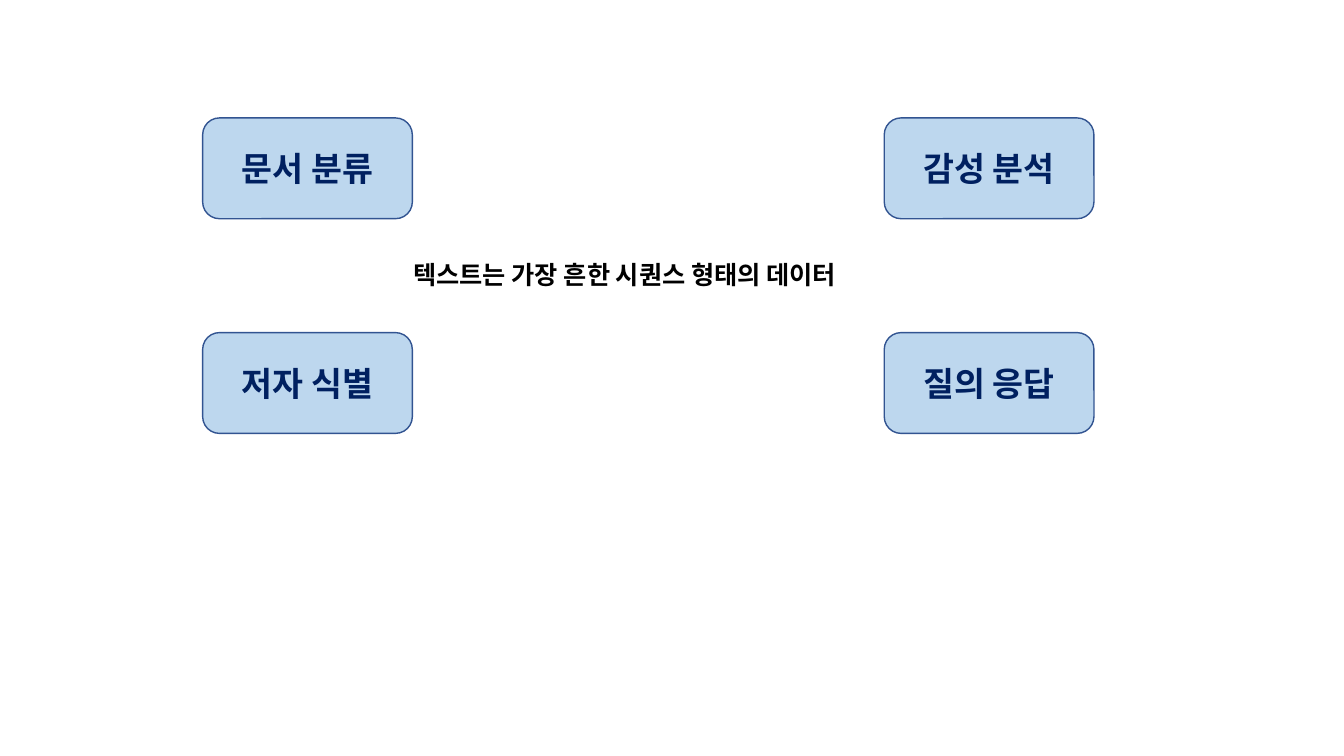
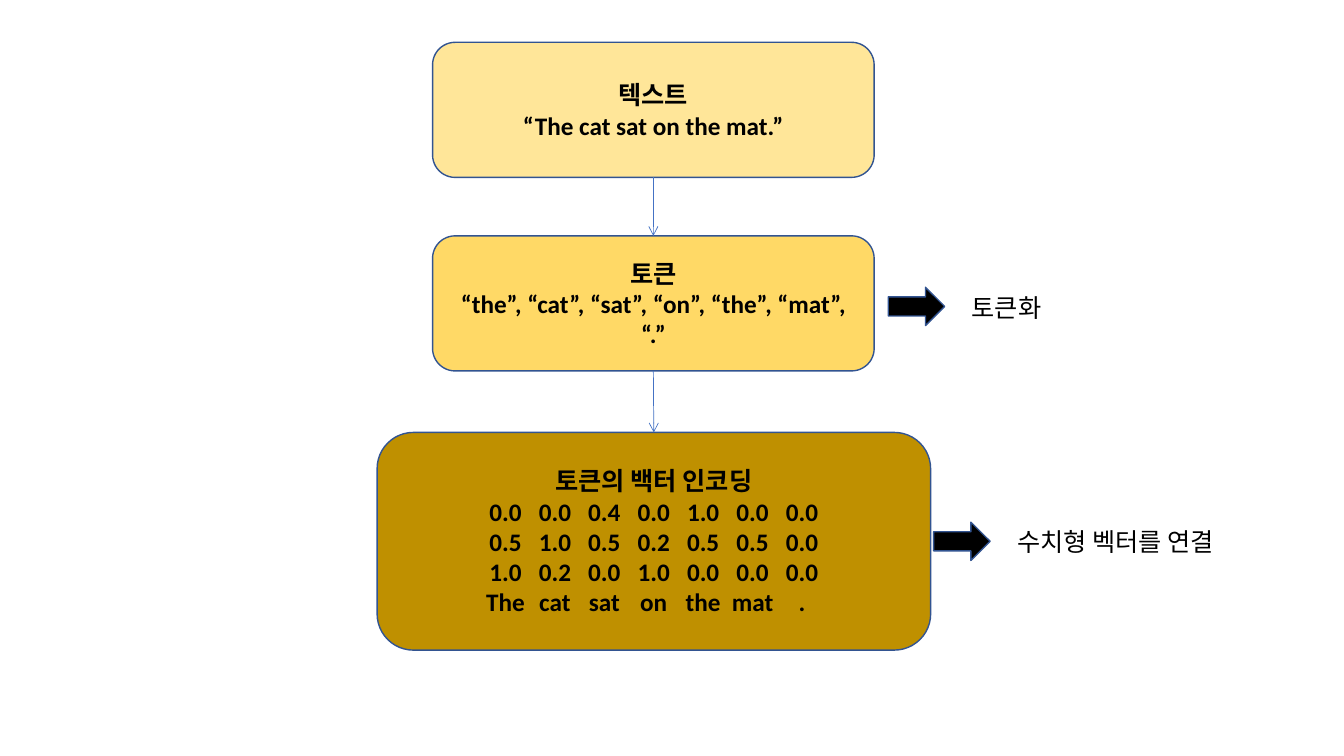
from dataclasses import dataclass
from itertools import pairwise, product

from lxml.etree import SubElement
from pptx import Presentation
from pptx.dml.color import RGBColor
from pptx.enum.shapes import MSO_CONNECTOR, MSO_SHAPE
from pptx.enum.text import MSO_ANCHOR, MSO_AUTO_SIZE, PP_ALIGN
from pptx.oxml.ns import qn
from pptx.shapes.autoshape import Shape
from pptx.slide import Slide
from pptx.text.text import TextFrame
from pptx.util import Emu, Pt

PX = 9144
FONT = "Calibri"
COLORS = {
    "task": "BDD7EE",
    "task_text": "002060",
    "outline": "325491",
    "text": "FFE699",
    "token": "FFD966",
    "vector": "BF9000",
    "flow": "4472C4",
    "black": "000000",
}
TOP_SITE, BOTTOM_SITE = 0, 2
FLOW_CENTER = 648
FIRST_COLUMN, COLUMN_STEP = 107, 49


@dataclass(frozen=True)
class Stage:
    top: int
    width: int
    height: int
    color: str
    lines: tuple[str, ...]
    rows: tuple[tuple[str, ...], ...] = ()


@dataclass(frozen=True)
class Step:
    caption: str
    arrow_left: int
    arrow_top: int
    caption_top: int
    caption_width: int


STAGES = (
    Stage(42, 438, 134, "text", ("텍스트", "“The cat sat on the mat.”")),
    Stage(234, 438, 134, "token",
          ("토큰", "“the”, “cat”, “sat”, “on”, “the”, “mat”, “.”")),
    Stage(429, 549, 216, "vector", ("토큰의 백터 인코딩",), (
        ("0.0", "0.0", "0.4", "0.0", "1.0", "0.0", "0.0"),
        ("0.5", "1.0", "0.5", "0.2", "0.5", "0.5", "0.0"),
        ("1.0", "0.2", "0.0", "1.0", "0.0", "0.0", "0.0"),
        ("The", "cat", "sat", "on", "the", "mat", "."),
    )),
)
STEPS = (
    Step("토큰화", 881, 285, 285, 96),
    Step("수치형 벡터를 연결", 926, 518, 517, 234),
)
TASKS = ("문서 분류", "감성 분석", "저자 식별", "질의 응답")


def px(length: int) -> Emu:
    return Emu(length * PX)


def rgb(name: str) -> RGBColor:
    return RGBColor.from_string(COLORS[name])


def write(frame: TextFrame, *lines: str, size: int = 18, bold: bool = False,
          color: str = "black", align: PP_ALIGN = PP_ALIGN.LEFT) -> None:
    for index, line in enumerate(lines):
        paragraph = frame.add_paragraph() if index else frame.paragraphs[0]
        paragraph.alignment = align
        run = paragraph.add_run()
        run.text = line
        run.font.name = FONT
        run.font.size = Pt(size)
        run.font.bold = bold
        run.font.color.rgb = rgb(color)


def add_block(slide: Slide, kind: MSO_SHAPE, left: int, top: int,
              width: int, height: int, fill: str) -> Shape:
    block = slide.shapes.add_shape(kind, px(left), px(top), px(width), px(height))
    block.shadow.inherit = False
    block.fill.solid()
    block.fill.fore_color.rgb = rgb(fill)
    block.line.color.rgb = rgb("outline")
    block.line.width = Pt(1)
    block.text_frame.word_wrap = True
    block.text_frame.vertical_anchor = MSO_ANCHOR.MIDDLE
    return block


def add_label(slide: Slide, left: int, top: int, width: int, text: str,
              bold: bool = False, wrap: bool = False) -> None:
    frame = slide.shapes.add_textbox(px(left), px(top), px(width), px(40)).text_frame
    frame.word_wrap = wrap
    frame.auto_size = MSO_AUTO_SIZE.SHAPE_TO_FIT_TEXT
    write(frame, text, bold=bold)


def set_columns(frame: TextFrame, first: int, count: int) -> None:
    for paragraph in frame.paragraphs[first:]:
        paragraph.alignment = PP_ALIGN.LEFT
        stops = SubElement(paragraph._p.get_or_add_pPr(), qn("a:tabLst"))
        for column in range(count):
            position = px(FIRST_COLUMN + column * COLUMN_STEP)
            SubElement(stops, qn("a:tab"), pos=str(position), algn="ctr")


def add_stage(slide: Slide, stage: Stage) -> Shape:
    block = add_block(slide, MSO_SHAPE.ROUNDED_RECTANGLE,
                      FLOW_CENTER - stage.width // 2, stage.top,
                      stage.width, stage.height, stage.color)
    rows = ["".join(f"\t{cell}" for cell in row) for row in stage.rows]
    write(block.text_frame, *stage.lines, *rows, bold=True, align=PP_ALIGN.CENTER)
    if stage.rows:
        set_columns(block.text_frame, len(stage.lines), len(stage.rows[0]))
    return block


def add_flow(slide: Slide, source: Shape, target: Shape) -> None:
    flow = slide.shapes.add_connector(MSO_CONNECTOR.STRAIGHT, 0, 0, 0, 0)
    flow.begin_connect(source, BOTTOM_SITE)
    flow.end_connect(target, TOP_SITE)
    flow.line.color.rgb = rgb("flow")
    flow.line.width = Pt(0.5)
    SubElement(flow.line._get_or_add_ln(), qn("a:tailEnd"), type="arrow")
    SubElement(flow._element.spPr, qn("a:effectLst"))


def add_step(slide: Slide, step: Step) -> None:
    add_block(slide, MSO_SHAPE.RIGHT_ARROW, step.arrow_left, step.arrow_top,
              56, 38, "black")
    add_label(slide, step.arrow_left + 73, step.caption_top,
              step.caption_width, step.caption)


def build_tasks(slide: Slide) -> None:
    add_label(slide, 400, 252, 508, "텍스트는 가장 흔한 시퀀스 형태의 데이터",
              bold=True, wrap=True)
    for task, (top, left) in zip(TASKS, product((117, 330), (201, 877))):
        block = add_block(slide, MSO_SHAPE.ROUNDED_RECTANGLE,
                          left, top, 208, 100, "task")
        write(block.text_frame, task, size=24, bold=True,
              color="task_text", align=PP_ALIGN.CENTER)


def build_encoding(slide: Slide) -> None:
    blocks = [add_stage(slide, stage) for stage in STAGES]
    for step in STEPS:
        add_step(slide, step)
    for source, target in pairwise(blocks):
        add_flow(slide, source, target)


def main() -> None:
    deck = Presentation()
    deck.slide_width, deck.slide_height = px(1333), px(750)
    for build in (build_tasks, build_encoding):
        build(deck.slides.add_slide(deck.slide_layouts[6]))
    deck.save("out.pptx")


if __name__ == "__main__":
    main()
